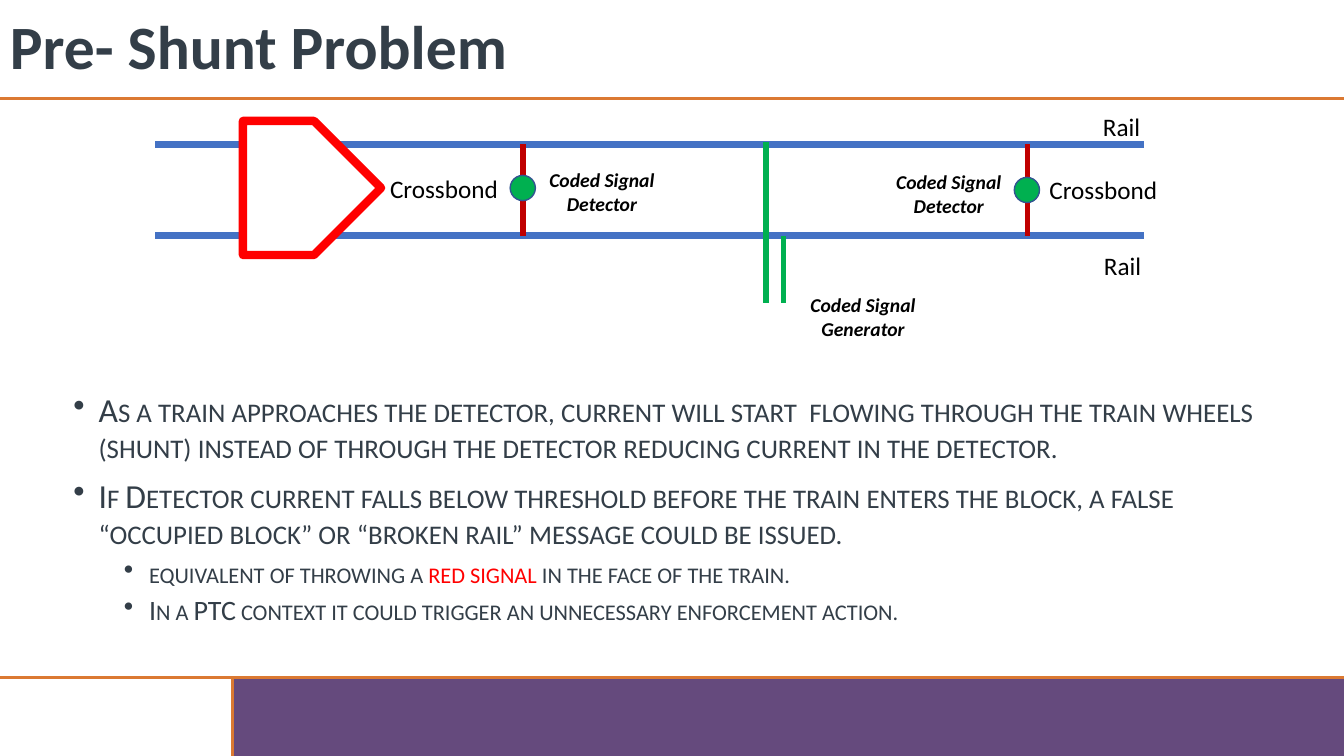
from dataclasses import dataclass

from lxml.etree import SubElement
from pptx import Presentation
from pptx.dml.color import RGBColor as RGB
from pptx.enum.shapes import MSO_CONNECTOR as Conn, MSO_SHAPE as Shape
from pptx.enum.text import MSO_ANCHOR as Anchor, PP_ALIGN as Align
from pptx.oxml.ns import qn
from pptx.util import Inches, Pt


@dataclass(frozen=True)
class Theme:
    """Colours, font and type sizes of the slide."""
    font: str = "Calibri"
    ink: str = "333E48"
    black: str = "000000"
    white: str = "FFFFFF"
    orange: str = "DB7932"
    purple: str = "654A7D"
    rail: str = "4472C4"
    bond: str = "C00000"
    signal: str = "00B050"
    outline: str = "325491"
    red: str = "FF0000"
    title: int = 44
    body: tuple = (24, 20)
    label: int = 18
    note: int = 14


class Builder:
    """Draws styled elements on the current slide."""

    def __init__(self, slide, theme):
        self.s, self.t = slide, theme

    def line(self, x1, y1, x2, y2, color, width):
        """Draw a straight line."""
        c = self.s.shapes.add_connector(
            Conn.STRAIGHT, Inches(x1), Inches(y1), Inches(x2), Inches(y2))
        c.line.color.rgb = RGB.from_string(color)
        c.line.width = Pt(width)
        SubElement(c._element.spPr, qn("a:effectLst"))

    def shape(self, kind, x, y, w, h, fill, outline=None, width=1):
        """Draw a filled preset shape."""
        sp = self.s.shapes.add_shape(kind, Inches(x), Inches(y), Inches(w), Inches(h))
        sp.shadow.inherit = False
        sp.fill.solid()
        sp.fill.fore_color.rgb = RGB.from_string(fill)
        if outline:
            sp.line.color.rgb = RGB.from_string(outline)
            sp.line.width = Pt(width)
        else:
            sp.line.fill.background()

    def frame(self, x, y, w, h):
        """Add a wrapping text box and return its text frame."""
        tf = self.s.shapes.add_textbox(Inches(x), Inches(y), Inches(w), Inches(h)).text_frame
        tf.word_wrap = True
        return tf

    def style(self, p, size, color=None, bold=False, italic=False):
        """Set the font of a paragraph."""
        f = p.font
        f.name, f.size, f.bold, f.italic = self.t.font, Pt(size), bold, italic
        if color:
            f.color.rgb = RGB.from_string(color)

    def title(self, text):
        """Add the slide title."""
        tf = self.frame(0, 0, 13.33, 0.99)
        tf.vertical_anchor = Anchor.MIDDLE
        p = tf.paragraphs[0]
        p.text, p.line_spacing = text, 0.9
        self.style(p, self.t.title, self.t.ink, bold=True)

    def label(self, text, x, y, w):
        """Add a plain diagram label."""
        p = self.frame(x, y, w, 0.4).paragraphs[0]
        p.text = text
        self.style(p, self.t.label, self.t.black)

    def note(self, text, x, y):
        """Add a centred bold italic diagram note."""
        p = self.frame(x, y, 1.32, 0.57).paragraphs[0]
        p.text, p.alignment = text, Align.CENTER
        self.style(p, self.t.note, self.t.black, bold=True, italic=True)

    def bullets(self, items, x, y, w, h):
        """Add small-caps bullets given as (level, runs) pairs."""
        tf = self.frame(x, y, w, h)
        for i, (level, runs) in enumerate(items):
            p = tf.add_paragraph() if i else tf.paragraphs[0]
            p.level, p.line_spacing = level, 0.9
            p.space_before = Pt(5 if level else 10)
            one_color = len(runs) == 1
            self.style(p, self.t.body[level], runs[0][1] if one_color else None)
            pPr = p._p.get_or_add_pPr()
            pPr.set("marL", str(Inches(0.25 + 0.5 * level)))
            pPr.set("indent", str(Inches(-0.25)))
            bullet = pPr.makeelement(qn("a:buChar"), {"char": "•"})
            pPr.find(qn("a:defRPr")).addprevious(bullet)
            for text, color in runs:
                r = p.add_run()
                r.text = text
                r._r.get_or_add_rPr().set("cap", "small")
                if not one_color:
                    r.font.color.rgb = RGB.from_string(color)


def main():
    """Build and save the slide."""
    prs = Presentation()
    prs.slide_width, prs.slide_height = Inches(13.33), Inches(7.5)
    t = Theme()
    b = Builder(prs.slides.add_slide(prs.slide_layouts[6]), t)

    b.shape(Shape.RECTANGLE, 2.3, 6.72, 11.03, 0.78, t.purple)
    for ends in ((0, 0.98, 13.33, 0.98), (2.31, 6.72, 2.31, 7.5), (0, 6.72, 13.33, 6.72)):
        b.line(*ends, t.orange, 2.25)

    b.bullets([
        (0, [("As a train approaches the detector, current will start  flowing through "
              "the train wheels (shunt) instead of through the detector reducing "
              "current in the detector.", t.ink)]),
        (0, [("If Detector current falls below threshold before the train enters the "
              "block, a false “occupied block” or “broken rail” message could be "
              "issued.", t.ink)]),
        (1, [("equivalent of throwing a ", t.ink), ("red signal ", t.red),
             ("in the face of the train.", t.ink)]),
        (1, [("In a PTC context it could trigger an unnecessary enforcement action.",
              t.ink)]),
    ], 0.63, 3.85, 12.07, 2.45)
    b.title("Pre- Shunt Problem")

    top, bottom = 1.43, 2.34
    for rail_y, label_x, label_y in ((top, 10.84, 1.06), (bottom, 10.85, 2.43)):
        b.line(1.54, rail_y, 11.35, rail_y, t.rail, 5)
        b.label("Rail", label_x, label_y, 0.83)

    for x, dot_y, label_x, label_y, note_x, note_y in (
            (5.19, 1.74, 3.77, 1.67, 5.31, 1.62),
            (10.19, 1.76, 10.31, 1.68, 8.75, 1.64)):
        b.line(x, top, x, bottom, t.bond, 4)
        b.shape(Shape.OVAL, x - 0.13, dot_y, 0.25, 0.25, t.signal, t.outline)
        b.label("Crossbond", label_x, label_y, 1.32)
        b.note("Coded Signal Detector", note_x, note_y)

    for x, start in ((7.6, 1.41), (7.77, bottom)):
        b.line(x, start, x, 3.01, t.signal, 4)
    b.note("Coded Signal Generator", 7.9, 2.86)

    b.shape(Shape.PENTAGON, 2.41, 1.2, 1.37, 1.33, t.white, t.red, 6)
    prs.save("out.pptx")


if __name__ == "__main__":
    main()
